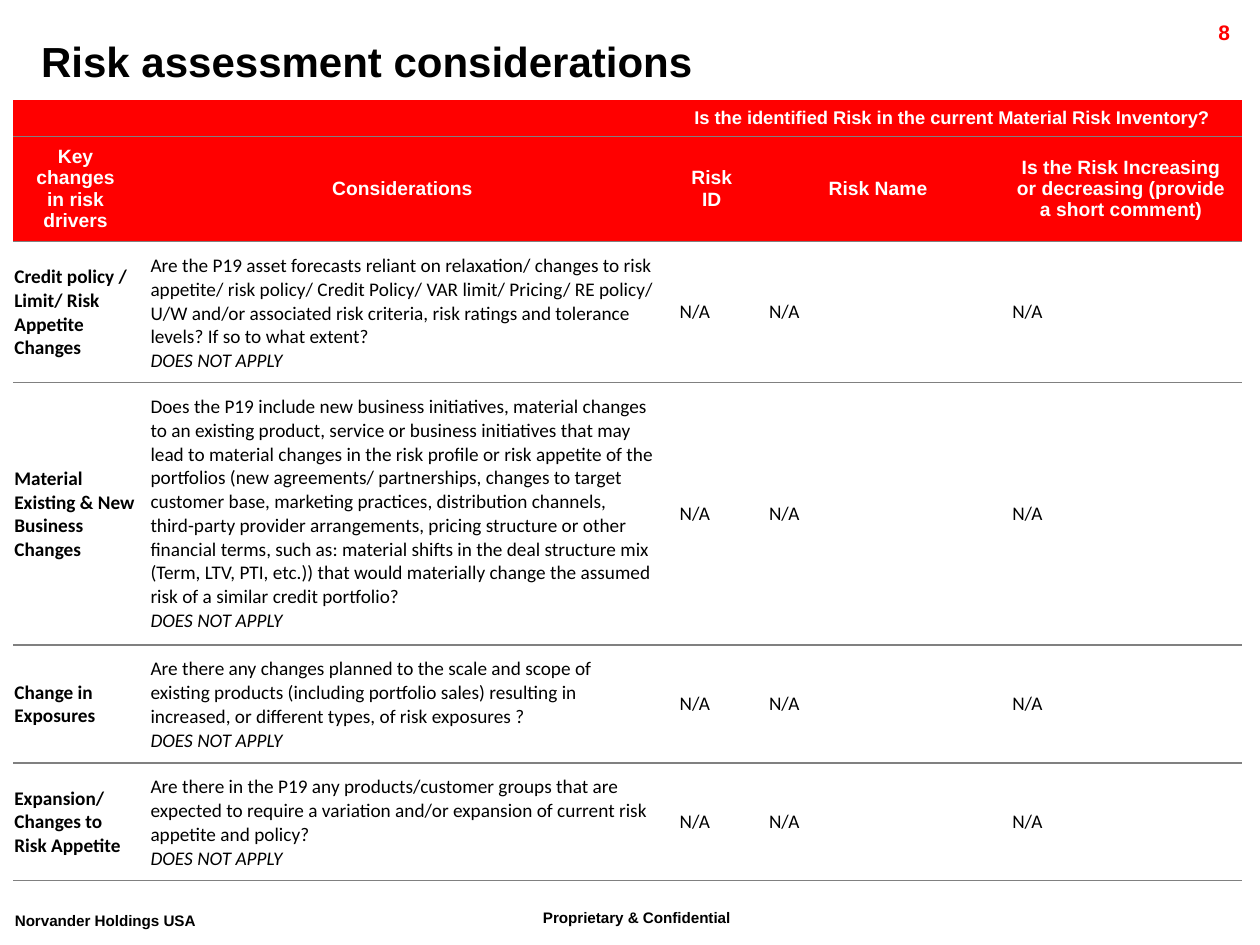
import dataclasses
import typing

import lxml.etree
import pptx
import pptx.dml.color
import pptx.enum.text
import pptx.oxml.ns
import pptx.util

Pt = pptx.util.Pt
ALIGN = pptx.enum.text.PP_ALIGN
ANCHOR = pptx.enum.text.MSO_ANCHOR

COLORS = {
    "red": "FF0000",
    "white": "FFFFFF",
    "black": "000000",
    "rule": "808080",
}
COLUMN_WIDTHS = [71.3, 302.4, 51.1, 139, 138.7]
ROW_HEIGHTS = [20.6, 60, 80.6, 150, 67.4, 67.4]
INVENTORY_QUESTION = "Is the identified Risk in the current Material Risk Inventory? "
HEADINGS = [
    "Key changes in risk drivers",
    "Considerations",
    "Risk ID",
    "Risk Name",
    "Is the Risk Increasing or decreasing (provide a short comment)",
]
ANSWER = "DOES NOT APPLY"


@dataclasses.dataclass(frozen=True)
class TextStyle:
    size: float
    color: str = "black"
    font: str = "Arial"
    bold: bool = True
    align: ALIGN = ALIGN.LEFT
    raised: bool = False


@dataclasses.dataclass(frozen=True)
class Label:
    text: str
    left: float
    top: float
    width: float
    height: float
    style: TextStyle
    wrap: bool = True


@dataclasses.dataclass(frozen=True)
class CellLook:
    style: TextStyle
    fill: str
    margins: typing.Tuple[float, float, float, float]


@dataclasses.dataclass(frozen=True)
class Driver:
    name: str
    question: str


TITLE_STYLE = TextStyle(24)
FOOTER_STYLE = TextStyle(15, raised=True)
HEADER_MARGINS = (7.2, 3.6, 7.2, 3.6)
INVENTORY_LOOK = CellLook(TextStyle(10.5, "white", align=ALIGN.CENTER), "red", HEADER_MARGINS)
HEADING_LOOK = CellLook(TextStyle(11, "white", align=ALIGN.CENTER), "red", HEADER_MARGINS)
DRIVER_LOOK = CellLook(TextStyle(11, font="Calibri"), "white", (0.7, 0.7, 0.7, 0))
BODY_LOOK = CellLook(TextStyle(11, font="Calibri", bold=False), "white", (7.2,) * 4)

LABELS = [
    Label("Proprietary & Confidential", 303.2, 513.7, 157, 25, FOOTER_STYLE),
    Label("Norvander Holdings USA", 1.4, 515.5, 137.5, 25, FOOTER_STYLE, wrap=False),
    Label("8", 641.5, 7.6, 68.4, 17.3, TextStyle(12, "red", align=ALIGN.RIGHT)),
]
DRIVERS = [
    Driver(
        "Credit policy / Limit/ Risk Appetite Changes",
        "Are the P19 asset forecasts reliant on relaxation/ changes to risk appetite/ "
        "risk policy/ Credit Policy/ VAR limit/ Pricing/ RE policy/ U/W and/or associated "
        "risk criteria, risk ratings and tolerance levels? If so to what extent?",
    ),
    Driver(
        "Material Existing & New Business Changes",
        "Does the P19 include new business initiatives, material changes to an existing "
        "product, service or business initiatives that may lead to material changes in the "
        "risk profile or risk appetite of the portfolios (new agreements/ partnerships, "
        "changes to target customer base, marketing practices, distribution channels, "
        "third-party provider arrangements, pricing structure or other financial terms, "
        "such as: material shifts in the deal structure mix (Term, LTV, PTI, etc.)) that "
        "would materially change the assumed risk of a similar credit portfolio?",
    ),
    Driver(
        "Change in Exposures",
        "Are there any changes planned to the scale and scope of existing products "
        "(including portfolio sales) resulting in increased, or different types, of risk "
        "exposures ?",
    ),
    Driver(
        "Expansion/ Changes to Risk Appetite",
        "Are there in the P19 any products/customer groups that are expected to require a "
        "variation and/or expansion of current risk appetite and policy?",
    ),
]


def rgb(name: str) -> pptx.dml.color.RGBColor:
    return pptx.dml.color.RGBColor.from_string(COLORS[name])


def format_text(frame, style: TextStyle) -> None:
    for paragraph in frame.paragraphs:
        paragraph.alignment = style.align
        if not paragraph.runs:
            end_tag = pptx.oxml.ns.qn("a:endParaRPr")
            lxml.etree.SubElement(paragraph._p, end_tag, sz=str(int(style.size * 100)))
        for run in paragraph.runs:
            run.font.size = Pt(style.size)
            run.font.name = style.font
            run.font.bold = style.bold
            run.font.color.rgb = rgb(style.color)
            if style.raised:
                run.font._element.set("baseline", "30000")


def add_label(slide, label: Label) -> None:
    box = slide.shapes.add_textbox(
        Pt(label.left), Pt(label.top), Pt(label.width), Pt(label.height)
    )
    box.text_frame.word_wrap = label.wrap
    box.text_frame.text = label.text
    format_text(box.text_frame, label.style)


def set_title(slide, text: str) -> None:
    title = slide.shapes.title
    title.left, title.top, title.width, title.height = Pt(16.3), Pt(16.8), Pt(703.4), Pt(36)
    title.text_frame.text = text
    title.text_frame.vertical_anchor = ANCHOR.MIDDLE
    format_text(title.text_frame, TITLE_STYLE)


def set_borders(cell, has_top: bool) -> None:
    properties = cell._tc.get_or_add_tcPr()
    ruled = {"a:lnL": False, "a:lnR": False, "a:lnT": has_top, "a:lnB": True}
    for side, visible in ruled.items():
        line = lxml.etree.SubElement(properties, pptx.oxml.ns.qn(side), w=str(Pt(1)))
        paint = "a:solidFill" if visible else "a:noFill"
        fill = lxml.etree.SubElement(line, pptx.oxml.ns.qn(paint))
        if visible:
            lxml.etree.SubElement(fill, pptx.oxml.ns.qn("a:srgbClr"), val=COLORS["rule"])


def fill_cell(cell, text: str, look: CellLook, has_top: bool = True) -> None:
    set_borders(cell, has_top)
    cell.fill.solid()
    cell.fill.fore_color.rgb = rgb(look.fill)
    cell.vertical_anchor = ANCHOR.MIDDLE
    left, top, right, bottom = look.margins
    cell.margin_left, cell.margin_top = Pt(left), Pt(top)
    cell.margin_right, cell.margin_bottom = Pt(right), Pt(bottom)
    cell.text_frame.text = text
    format_text(cell.text_frame, look.style)


def add_risk_table(slide) -> None:
    table = slide.shapes.add_table(
        len(ROW_HEIGHTS), len(COLUMN_WIDTHS),
        Pt(7.5), Pt(57.3), Pt(sum(COLUMN_WIDTHS)), Pt(sum(ROW_HEIGHTS)),
    ).table
    table.first_row = table.horz_banding = False
    for column, width in zip(table.columns, COLUMN_WIDTHS):
        column.width = Pt(width)
    for row, height in zip(table.rows, ROW_HEIGHTS):
        row.height = Pt(height)

    for index, heading in enumerate(HEADINGS):
        inventory = INVENTORY_QUESTION if index == 2 else ""
        fill_cell(table.cell(0, index), inventory, INVENTORY_LOOK, has_top=False)
        fill_cell(table.cell(1, index), heading, HEADING_LOOK)
    table.cell(0, 0).merge(table.cell(0, 1))
    table.cell(0, 2).merge(table.cell(0, 4))

    for row, driver in enumerate(DRIVERS, start=2):
        fill_cell(table.cell(row, 0), driver.name, DRIVER_LOOK)
        consideration = table.cell(row, 1)
        fill_cell(consideration, f"{driver.question}\n{ANSWER}", BODY_LOOK)
        consideration.text_frame.paragraphs[1].runs[0].font.italic = True
        for column in range(2, len(COLUMN_WIDTHS)):
            fill_cell(table.cell(row, column), "N/A", BODY_LOOK)


def main() -> None:
    deck = pptx.Presentation()
    deck.slide_width, deck.slide_height = Pt(720), Pt(540)
    slide = deck.slides.add_slide(deck.slide_layouts[5])
    for label in LABELS:
        add_label(slide, label)
    set_title(slide, "Risk assessment considerations")
    add_risk_table(slide)
    deck.save("out.pptx")


if __name__ == "__main__":
    main()
